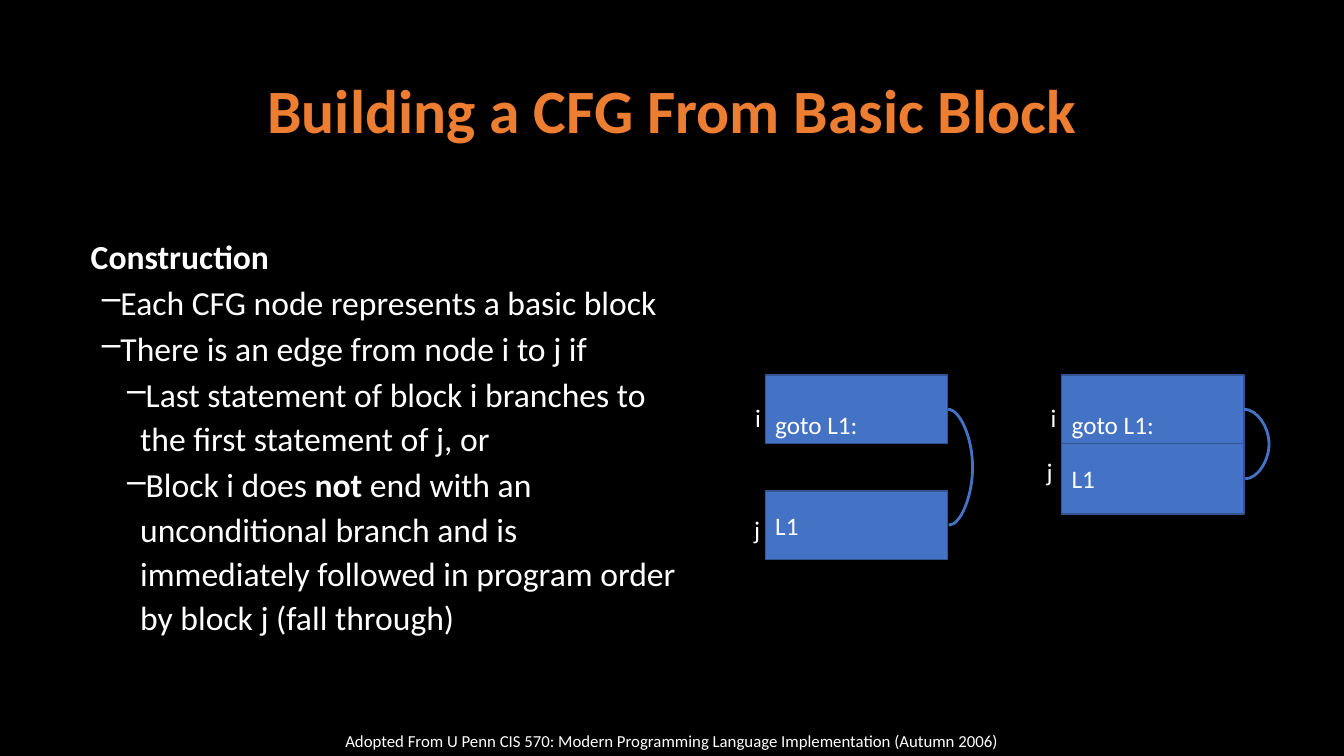
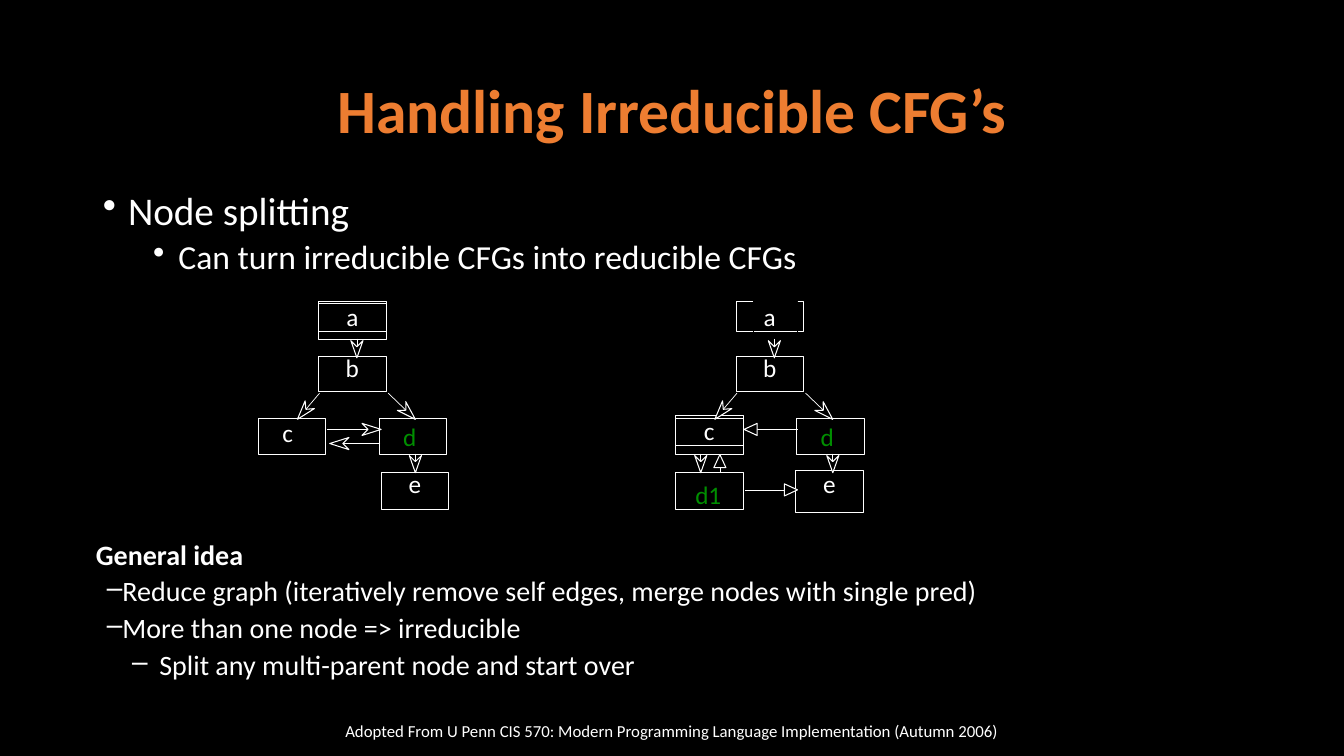
"""Build two slides on control flow graphs: construction and node splitting."""
import math
from dataclasses import dataclass

import pptx
import pptx.util
from lxml import etree
from pptx.dml.color import RGBColor
from pptx.enum.shapes import MSO_CONNECTOR, MSO_SHAPE
from pptx.enum.text import MSO_ANCHOR, MSO_AUTO_SIZE, PP_ALIGN
from pptx.oxml.ns import qn
from pptx.util import Inches, Pt


@dataclass(frozen=True)
class Theme:
    """Colours, font and type sizes."""
    font: str = "Calibri"
    back: str = "000000"
    ink: str = "FFFFFF"
    title: str = "ED7D31"
    block: str = "4472C4"
    block_line: str = "325491"
    split: str = "008F00"
    title_size: int = 44
    lead_size: int = 28
    body_size: int = 24
    idea_size: int = 20
    label_size: int = 18
    footer_size: int = 12


T = Theme()
FOOTER = "Adopted From U Penn CIS 570: Modern Programming Language Implementation (Autumn 2006)"

# Each paragraph: runs as (text, bold), size, indent, hanging, bullet, line spacing, space before.
HEAD, ITEM, SUB = (0.01, 0, None), (0.25, -0.13, "–"), (0.5, -0.13, "–")
CONSTRUCTION = [
    ([("Construction", True)], T.body_size, HEAD, 1.1, 0),
    ([("Each CFG node represents a basic block", False)], T.body_size, ITEM, 1.1, 1.2),
    ([("There is an edge from node i to j if", False)], T.body_size, ITEM, 1.1, 1.2),
    ([("Last statement of block i branches to the first statement of j, or", False)],
     T.body_size, SUB, 1.1, 1.2),
    ([("Block i does ", False), ("not ", True),
      ("end with an unconditional branch and is immediately followed in program order "
       "by block j (fall through)", False)], T.body_size, SUB, 1.1, 1.2),
]
SPLITTING = [
    ([("Node splitting", False)], T.lead_size, (0.25, -0.25, "•"), 0.9, 0),
    ([("Can turn irreducible CFGs into reducible CFGs", False)],
     T.body_size, (0.75, -0.25, "•"), 0.9, 5),
]
IDEA = [
    ([("General idea", True)], T.idea_size, HEAD, 1.0, 0),
    ([("Reduce graph (iteratively remove self edges, merge nodes with single pred)", False)],
     T.idea_size, ITEM, 1.0, 2.1),
    ([("More than one node => irreducible", False)], T.idea_size, ITEM, 1.0, 2.4),
    ([("Split any multi-parent node and start over", False)],
     T.idea_size, (0.64, -0.27, "–"), 1.0, 2.4),
]

# Each pair: left edge, top and height of block j, then the places of the i and j labels.
BLOCK_PAIRS = [
    (7.59, 4.87, 0.68, (7.49, 3.99), (7.48, 5.1)),
    (10.53, 4.4, 0.7, (10.42, 3.99), (10.38, 4.53)),
]
BLOCK_W, BLOCK_I_TOP, BLOCK_I_H = 1.81, 3.72, 0.68

# Nodes: label, x, y, height, line pitch, right inset. Edges: start, tip, arrowhead.
NODE_W = 0.67
SHARED_NODES = [("a", 0.6, 2.99, 0.3, 22, 0), ("b", 0.6, 3.54, 0.34, 11.6, 0),
                ("d", 1.2, 4.15, 0.36, 22, 0.06)]
SHARED_EDGES = [((0.98, 3.36), (0.98, 3.55), "short"), ((1.29, 3.9), (1.56, 4.16), "long"),
                ((0.61, 3.9), (0.39, 4.16), "long"), ((1.56, 4.5), (1.56, 4.69), "short")]
GRAPHS = [
    (2.56,
     [("", 0.6, 3.01, 0.36, 0, 0), ("c", 0, 4.15, 0.36, 15.4, 0.08),
      ("e", 1.22, 4.69, 0.36, 11.6, 0)],
     [((0.68, 4.26), (1.22, 4.26), "long"), ((1.21, 4.4), (0.71, 4.4), "long")]),
    (6.7,
     [("", 0, 4.15, 0.36, 0, 0), ("c", 0, 4.12, 0.3, 22, 0),
      ("d1", 0, 4.69, 0.36, 26.6, 0.02), ("e", 1.19, 4.67, 0.41, 9.9, 0)],
     [((1.21, 4.26), (0.68, 4.26), "plain"), ((0.25, 4.5), (0.25, 4.69), "short"),
      ((0.44, 4.68), (0.44, 4.51), "plain"), ((0.69, 4.86), (1.21, 4.86), "plain")]),
]
# Arrowheads: length, half width, distance from tip to notch.
HEADS = {"short": (0.17, 0.06, 0.11), "long": (0.19, 0.06, 0.13), "plain": (0.13, 0.06, 0.13)}


def rgb(code):
    """Turn a hex code into a colour."""
    return RGBColor.from_string(code)


def add_run(p, text, size, color=T.ink, bold=False):
    """Add one formatted run."""
    r = p.add_run()
    r.text = text
    r.font.name, r.font.size, r.font.bold = T.font, Pt(size), bold
    r.font.color.rgb = rgb(color)


def set_frame(tf, anchor=MSO_ANCHOR.TOP, insets=(0, 0, 0, 0), wrap=True):
    """Set insets (left, top, right, bottom), anchor and wrapping."""
    tf.auto_size, tf.word_wrap, tf.vertical_anchor = MSO_AUTO_SIZE.NONE, wrap, anchor
    tf.margin_left, tf.margin_top, tf.margin_right, tf.margin_bottom = map(Inches, insets)


def add_textbox(s, box, **frame):
    """Add an empty text box and return its text frame."""
    tf = s.shapes.add_textbox(*map(Inches, box)).text_frame
    set_frame(tf, **frame)
    return tf


def add_list(s, box, paragraphs):
    """Add a text box of bulleted paragraphs."""
    tf = add_textbox(s, box)
    for n, (runs, size, (indent, hanging, bullet), spacing, before) in enumerate(paragraphs):
        p = tf.add_paragraph() if n else tf.paragraphs[0]
        p.line_spacing, p.space_before = spacing, Pt(before)
        pPr = p._p.get_or_add_pPr()
        pPr.set("marL", str(Inches(indent)))
        pPr.set("indent", str(Inches(hanging)))
        if bullet:
            etree.SubElement(pPr, qn("a:buChar")).set("char", bullet)
        for text, bold in runs:
            add_run(p, text, size, bold=bold)


def style(sp, fill, line, width):
    """Give a shape its fill and outline, without shadow."""
    sp.shadow.inherit = False
    if fill:
        sp.fill.solid()
        sp.fill.fore_color.rgb = rgb(fill)
    else:
        sp.fill.background()
    sp.line.color.rgb, sp.line.width = rgb(line), Pt(width)


def add_rect(s, box, fill, line, width):
    """Add a rectangle."""
    sp = s.shapes.add_shape(MSO_SHAPE.RECTANGLE, *map(Inches, box))
    style(sp, fill, line, width)
    return sp


def add_line(s, kind, start, end, color, width):
    """Add a connector without shadow."""
    cx = s.shapes.add_connector(kind, *map(Inches, (*start, *end)))
    cx.line.color.rgb, cx.line.width = rgb(color), Pt(width)
    etree.SubElement(cx._element.spPr, qn("a:effectLst"))
    return cx


def add_slide(prs, title, footer_top):
    """Add a slide with its title and footer."""
    s = prs.slides.add_slide(prs.slide_layouts[5])
    sp = s.shapes.title
    sp.left, sp.top, sp.width, sp.height = map(Inches, (0.92, 0.4, 11.5, 1.45))
    set_frame(sp.text_frame, MSO_ANCHOR.MIDDLE, (0.1, 0.05, 0.1, 0.05))
    p = sp.text_frame.paragraphs[0]
    p.alignment, p.line_spacing = PP_ALIGN.CENTER, 0.9
    add_run(p, title, T.title_size, T.title, True)
    p = add_textbox(s, (2.98, footer_top, 7.37, 0.4), anchor=MSO_ANCHOR.MIDDLE).paragraphs[0]
    p.alignment = PP_ALIGN.CENTER
    add_run(p, FOOTER, T.footer_size)
    return s


def add_block(s, text, box, anchor):
    """Add a filled basic block."""
    tf = add_rect(s, box, T.block, T.block_line, 1).text_frame
    set_frame(tf, anchor, (0.1, 0.04, 0.1, 0.04))
    tf.paragraphs[0].alignment = PP_ALIGN.LEFT
    add_run(tf.paragraphs[0], text, T.label_size)


def add_block_pair(s, left, j_top, j_height, i_label, j_label):
    """Add blocks i and j, their labels and the curved edge between them."""
    add_block(s, "goto L1:", (left, BLOCK_I_TOP, BLOCK_W, BLOCK_I_H), MSO_ANCHOR.BOTTOM)
    add_block(s, "L1", (left, j_top, BLOCK_W, j_height), MSO_ANCHOR.MIDDLE)
    for text, place in (("i", i_label), ("j", j_label)):
        tf = add_textbox(s, (*place, 0.1, 0.3), wrap=False)
        add_run(tf.paragraphs[0], text, T.label_size)
    right, bulge, drift = left + BLOCK_W, 0.25, 0.01
    start = (right, BLOCK_I_TOP + BLOCK_I_H / 2)
    end = (right + drift, j_top + j_height / 2)
    cx = add_line(s, MSO_CONNECTOR.CURVE, start, end, T.block, 2)
    geom = cx._element.spPr.find(qn("a:prstGeom"))
    guides = geom.find(qn("a:avLst"))
    if guides is None:
        guides = etree.SubElement(geom, qn("a:avLst"))
    gd = etree.SubElement(guides, qn("a:gd"))
    gd.set("name", "adj1")
    gd.set("fmla", f"val {round(bulge / drift * 100000)}")


def add_node(s, left, label, x, y, height, pitch, inset):
    """Add an outlined graph node, its label set by line pitch."""
    sp = add_rect(s, (left + x, y, NODE_W, height), None, T.ink, 0.5)
    if label:
        set_frame(sp.text_frame, MSO_ANCHOR.MIDDLE, (0, 0, inset, 0))
        p = sp.text_frame.paragraphs[0]
        p.alignment, p.line_spacing = PP_ALIGN.CENTER, Pt(pitch)
        add_run(p, label, T.label_size, T.split if label.startswith("d") else T.ink)


def add_edge(s, left, start, tip, head):
    """Add a straight edge that ends in a drawn arrowhead."""
    (x1, y1), (x2, y2) = [(left + x, y) for x, y in (start, tip)]
    span = math.hypot(x2 - x1, y2 - y1)
    ux, uy = (x2 - x1) / span, (y2 - y1) / span
    length, half, notch = HEADS[head]

    def at(back, side):
        """Return the point behind the tip and to its side."""
        return x2 - back * ux - side * uy, y2 - back * uy + side * ux

    add_line(s, MSO_CONNECTOR.STRAIGHT, (x1, y1), at(notch, 0), T.ink, 0.5)
    points = [tuple(map(Inches, at(*q)))
              for q in ((0, 0), (length, half), (notch, 0), (length, -half))]
    fb = s.shapes.build_freeform(*points[0])
    fb.add_line_segments(points[1:], close=True)
    style(fb.convert_to_shape(), T.back, T.ink, 0.75)


def main():
    """Build and save the presentation."""
    prs = pptx.Presentation()
    prs.slide_width, prs.slide_height = Inches(13.33), Inches(7.5)
    fill = prs.slide_master.background.fill
    fill.solid()
    fill.fore_color.rgb = rgb(T.back)

    s = add_slide(prs, "Building a CFG From Basic Block", 7.15)
    add_list(s, (0.89, 2.3, 5.85, 4.05), CONSTRUCTION)
    for pair in BLOCK_PAIRS:
        add_block_pair(s, *pair)

    s = add_slide(prs, "Handling Irreducible CFG’s", 7.05)
    add_list(s, (1.02, 1.9, 11.3, 0.95), SPLITTING)
    for left, nodes, edges in GRAPHS:
        for node in SHARED_NODES + nodes:
            add_node(s, left, *node)
        for edge in SHARED_EDGES + edges:
            add_edge(s, left, *edge)
    add_rect(s, (7.47, 2.99, 0.44, 0.32), None, T.back, 0.5)
    add_list(s, (0.94, 5.33, 10.32, 1.44), IDEA)
    prs.save("out.pptx")


if __name__ == "__main__":
    main()
